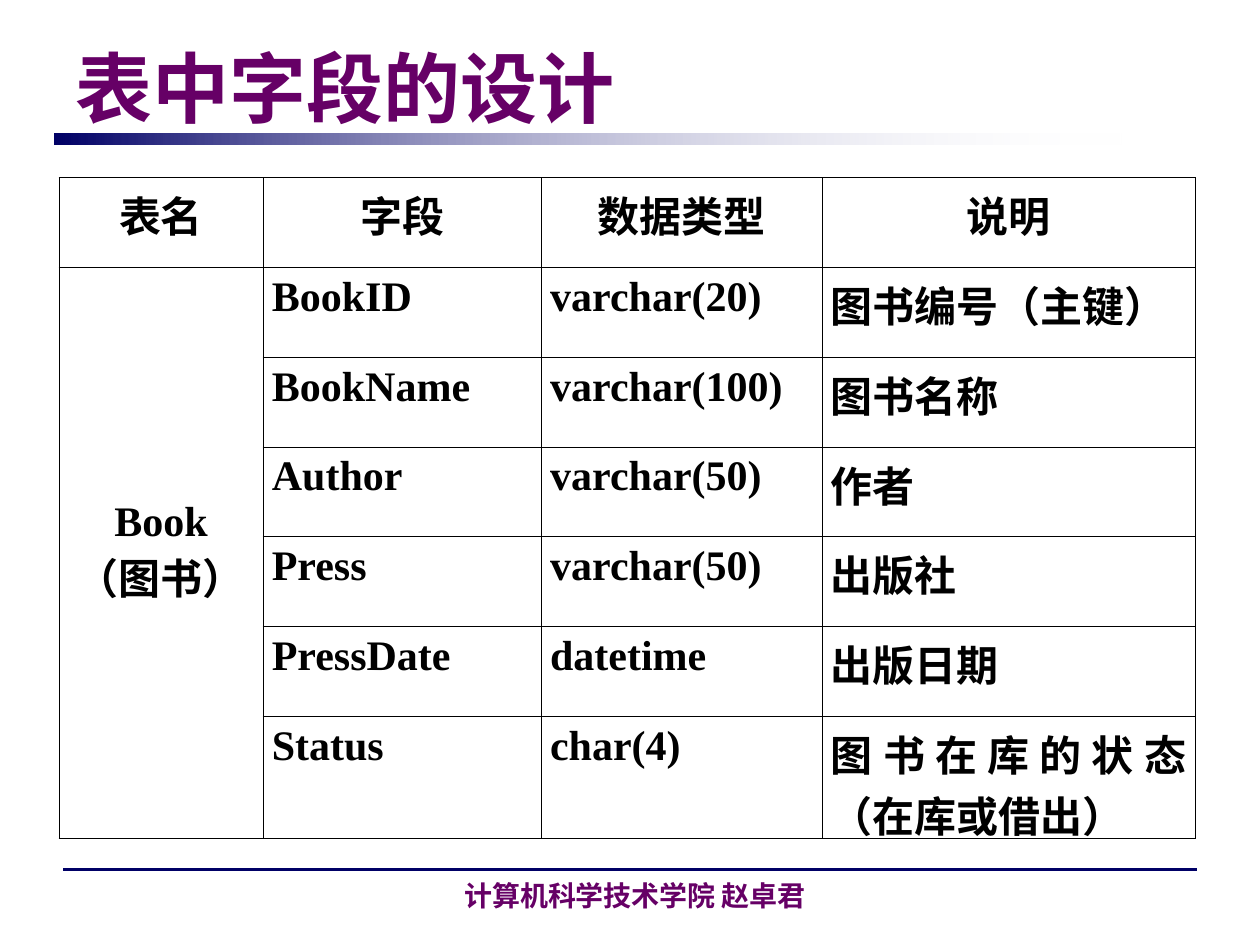
"""Build the slide that lists the fields of the Book table."""
from dataclasses import dataclass

from pptx import Presentation
from pptx import util as u
from pptx.dml.color import RGBColor
from pptx.enum import shapes, text
from pptx.oxml import parse_xml
from pptx.oxml.ns import nsdecls, qn


@dataclass(frozen=True)
class Theme:
    purple: RGBColor = RGBColor(0x66, 0x00, 0x66)
    navy: RGBColor = RGBColor(0x00, 0x00, 0x66)
    white: RGBColor = RGBColor(0xFF, 0xFF, 0xFF)
    black: RGBColor = RGBColor(0x00, 0x00, 0x00)
    latin: str = "Times New Roman"
    asian: str = "Noto Sans CJK SC"
    title: int = 44
    body: int = 24
    footer: int = 16


theme = Theme()


def style(para, size, color, latin, align):
    para.alignment = align
    font = para.font
    font.name, font.size, font.bold = latin, u.Pt(size), True
    font.color.rgb = color
    latin_tag = para._p.pPr.find(qn("a:defRPr")).find(qn("a:latin"))
    latin_tag.addnext(parse_xml(f'<a:ea {nsdecls("a")} typeface="{theme.asian}"/>'))


def add_border(cell, side):
    cell._tc.get_or_add_tcPr().append(parse_xml(
        f'<a:{side} {nsdecls("a")} w="{u.Pt(0.45)}"><a:solidFill>'
        f'<a:srgbClr val="{theme.black}"/></a:solidFill></a:{side}>'))


deck = Presentation()
deck.slide_width, deck.slide_height = u.Cm(25.4), u.Cm(19.05)
page = deck.slides.add_slide(deck.slide_layouts[6])

rule = page.shapes.add_connector(
    shapes.MSO_CONNECTOR.STRAIGHT, u.Cm(1.27), u.Cm(17.53), u.Cm(24.13), u.Cm(17.53))
rule.line.color.rgb = theme.navy
rule.line.width = u.Pt(1.5)
rule._element.spPr.append(parse_xml(f'<a:effectLst {nsdecls("a")}/>'))

bar = page.shapes.add_shape(
    shapes.MSO_SHAPE.RECTANGLE, u.Cm(1.09), u.Cm(2.7), u.Cm(21.62), u.Cm(0.22))
bar.shadow.inherit = False
bar.line.fill.background()
bar.fill.gradient()
bar.fill.gradient_angle = 0
for stop, color in zip(bar.fill.gradient_stops, (theme.navy, theme.white)):
    stop.color.rgb = color
fade = list(bar._element.iter(qn("a:gs")))[-1].find(qn("a:srgbClr"))
fade.append(parse_xml(f'<a:alpha {nsdecls("a")} val="0"/>'))

captions = [
    ("表中字段的设计", (1.27, 0.76, 22.86, 1.96), theme.title, theme.latin,
     text.PP_ALIGN.LEFT, text.MSO_ANCHOR.MIDDLE),
    ("计算机科学技术学院 赵卓君", (6.71, 17.25, 12.19, 1.27), theme.footer, theme.asian,
     text.PP_ALIGN.CENTER, text.MSO_ANCHOR.BOTTOM),
]
for wording, place, size, latin, align, anchor in captions:
    box = page.shapes.add_textbox(*map(u.Cm, place))
    frame = box.text_frame
    frame.word_wrap = True
    frame.vertical_anchor = anchor
    frame.text = wording
    style(frame.paragraphs[0], size, theme.purple, latin, align)

rows = [
    ("表名", "字段", "数据类型", "说明"),
    ("Book\n（图书）", "BookID", "varchar(20)", "图书编号（主键）"),
    ("", "BookName", "varchar(100)", "图书名称"),
    ("", "Author", "varchar(50)", "作者"),
    ("", "Press", "varchar(50)", "出版社"),
    ("", "PressDate", "datetime", "出版日期"),
    ("", "Status", "char(4)", "图书在库的状态（在库或借出）"),
]
widths = [4.11, 5.61, 5.66, 7.52]
heights = [1.81] * 6 + [2.46]
table = page.shapes.add_table(
    len(rows), len(widths), u.Cm(1.19), u.Cm(3.58),
    u.Cm(sum(widths)), u.Cm(sum(heights))).table
table.first_row = table.horz_banding = False
for column, width in zip(table.columns, widths):
    column.width = u.Cm(width)
for row, height in zip(table.rows, heights):
    row.height = u.Cm(height)

for r, values in enumerate(rows):
    for c, value in enumerate(values):
        cell = table.cell(r, c)
        cell.margin_left = cell.margin_right = u.Cm(0.18)
        cell.margin_top = cell.margin_bottom = u.Cm(0.13)
        for side in ("lnL", "lnR", "lnT", "lnB"):
            add_border(cell, side)
        cell.fill.background()
        cell.text = value
        centred = r == 0 or c == 0
        align = text.PP_ALIGN.CENTER if centred else text.PP_ALIGN.JUSTIFY
        for para in cell.text_frame.paragraphs:
            style(para, theme.body, theme.black, theme.latin, align)

book = table.cell(1, 0)
book.merge(table.cell(len(rows) - 1, 0))
book.vertical_anchor = text.MSO_ANCHOR.MIDDLE

deck.save("out.pptx")
